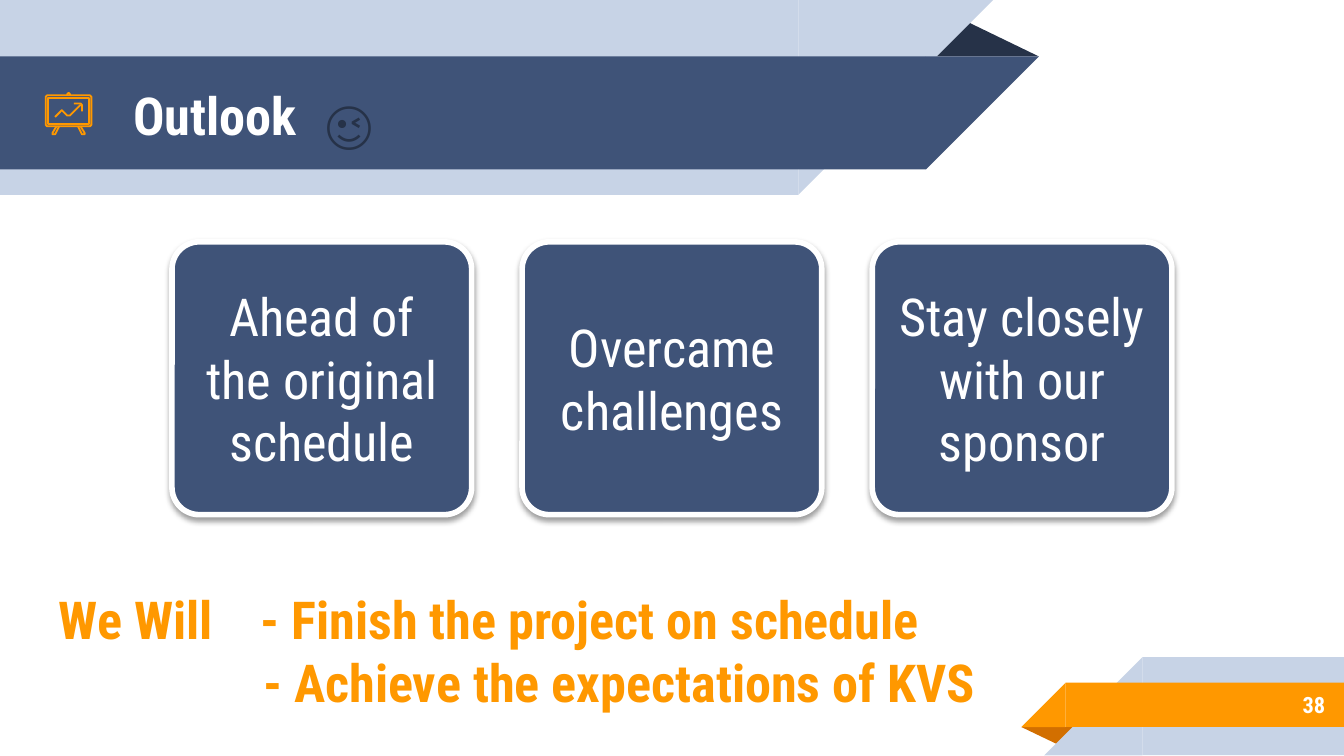
from lxml import etree
from pptx import Presentation
from pptx.dml.color import RGBColor
from pptx.enum.shapes import MSO_SHAPE
from pptx.enum.text import MSO_ANCHOR, MSO_AUTO_SIZE, PP_ALIGN
from pptx.oxml import parse_xml
from pptx.oxml.ns import nsdecls, qn
from pptx.util import Inches, Pt

RECT, CORNER = MSO_SHAPE.RECTANGLE, MSO_SHAPE.RIGHT_TRIANGLE
FOLD, CARD = MSO_SHAPE.ISOSCELES_TRIANGLE, MSO_SHAPE.ROUNDED_RECTANGLE
TOP, MIDDLE = MSO_ANCHOR.TOP, MSO_ANCHOR.MIDDLE
LEFT, CENTER, RIGHT = PP_ALIGN.LEFT, PP_ALIGN.CENTER, PP_ALIGN.RIGHT
NO_AUTOFIT = MSO_AUTO_SIZE.NONE

NAVY = RGBColor(0x3F, 0x53, 0x78)
DARK = RGBColor(0x26, 0x32, 0x48)
PALE = RGBColor(0xC7, 0xD3, 0xE6)
ORANGE = RGBColor(0xFF, 0x98, 0x00)
RUST = RGBColor(0xD2, 0x6F, 0x00)
WHITE = RGBColor(0xFF, 0xFF, 0xFF)

# A 16:9 slide
prs = Presentation()
prs.slide_width, prs.slide_height = Inches(10), Inches(10 * 9 / 16)
slide = prs.slides.add_slide(prs.slide_layouts[5])
shapes = slide.shapes


def add_block(kind, box, color, rotation=0):
    block = shapes.add_shape(kind, *map(Inches, box))
    block.fill.solid()
    block.fill.fore_color.rgb = color
    block.line.fill.background()
    block.shadow.inherit = False
    block.rotation = rotation
    return block


def write(holder, lines, color, size=28, bold=False, align=LEFT, anchor=TOP,
          inset=(0.1, 0.1)):
    frame = holder.text_frame
    side, edge = map(Inches, inset)
    frame_format = {"word_wrap": True, "auto_size": NO_AUTOFIT,
                    "vertical_anchor": anchor,
                    "margin_left": side, "margin_right": side,
                    "margin_top": edge, "margin_bottom": edge}
    for name, value in frame_format.items():
        setattr(frame, name, value)
    frame.text = "\n".join(lines)
    font_format = {"name": "Roboto Condensed", "size": Pt(size), "bold": bold}
    for paragraph in frame.paragraphs:
        paragraph.alignment = align
        for run in paragraph.runs:
            for name, value in font_format.items():
                setattr(run.font, name, value)
            run.font.color.rgb = color
    return frame


# Header and footer ribbons: a fold, then bands with slanted ends
header_fold = add_block(FOLD, (6.88, 0.14, 0.85, 0.28), DARK)
header_fold.adjustments[0] = 0.32
for top, length, height, color in [(0, 5.94, 1.45, PALE),
                                   (0.42, 6.89, 0.84, NAVY)]:
    add_block(RECT, (0, top, length, height), color)
    add_block(CORNER, (length, top, height, height), color, 90)

footer_fold = add_block(FOLD, (7.6, 5.41, 0.43, 0.14), RUST, 180)
footer_fold.adjustments[0] = 0.32
for left, top, height, color in [(8.5, 4.89, 0.73, PALE),
                                 (7.93, 5.08, 0.33, ORANGE)]:
    add_block(RECT, (left, top, 10 - left, height), color)
    add_block(CORNER, (left - height, top, height, height), color, 270)

# Title, brought in front of the ribbons
title = shapes.title
title.left, title.top, title.width, title.height = map(
    Inches, (0.89, 0.43, 5.75, 0.84))
write(title, ["Outlook"], WHITE, bold=True, anchor=MIDDLE)
shapes[-1].element.addnext(title.element)

# Slide number
number = shapes.add_textbox(*map(Inches, (8.33, 5.07, 1.63, 0.35)))
write(number, ["38"], WHITE, size=12, bold=True, align=RIGHT, anchor=MIDDLE)

# Presentation board icon, points in hundredths of an inch
board_strokes = [
    ([(35, 71), (67, 71), (68, 72), (68, 93), (67, 94), (35, 94), (34, 93),
      (34, 72)], True),                                          # frame
    ([(50, 71), (50, 70), (51, 69), (52, 70), (52, 71)], False),  # knob
    ([(42, 94), (39, 99), (39, 100), (41, 100), (44, 94)], False),  # left leg
    ([(58, 94), (61, 100), (63, 100), (63, 99), (60, 94)], False),  # right leg
    ([(36, 73), (36, 92), (66, 92), (66, 73)], True),            # panel
    ([(60, 78), (52, 86), (50, 86), (46, 82), (41, 87)], False),  # trend
    ([(55, 77), (60, 77), (61, 78), (61, 83)], False),           # arrowhead
]
for points, closed in board_strokes:
    builder = shapes.build_freeform(*points[0], scale=Inches(0.01))
    builder.add_line_segments(points[1:], close=closed)
    stroke = builder.convert_to_shape()
    stroke.fill.background()
    stroke.line.color.rgb = ORANGE
    stroke.line.width = Pt(0.96)
    stroke.shadow.inherit = False

# Commitments, with the dashes aligned at one indent
commitments = shapes.add_textbox(*map(Inches, (0.34, 4.32, 7.18, 1.04)))
first, second = write(
    commitments,
    ["We Will\t- Finish the project on schedule",
     "- Achieve the expectations of KVS"],
    ORANGE, bold=True, inset=(0.1, 0.05)).paragraphs
dash_indent = Inches(1.5)
tabs = etree.SubElement(first._p.get_or_add_pPr(), qn("a:tabLst"))
etree.SubElement(tabs, qn("a:tab"), pos=str(dash_indent), algn="l")
second._p.get_or_add_pPr().set("marL", str(dash_indent + Inches(0.02)))

# Wink beside the title
wink = shapes.add_textbox(*map(Inches, (2.32, 0.63, 0.99, 0.57)))
write(wink, ["😉"], DARK, inset=(0.1, 0.05))

# Three cards
card_texts = ["Ahead of the original schedule", "Overcame challenges",
              "Stay closely with our sponsor"]
for index, text in enumerate(card_texts):
    card = add_block(CARD, (1.28 + 2.605 * index, 1.8, 2.23, 2.03), NAVY)
    card.adjustments[0] = 0.1
    card.line.color.rgb = WHITE
    card.line.width = Pt(3)
    write(card, [text], WHITE, align=CENTER, anchor=MIDDLE, inset=(0.12, 0.12))
    card.element.spPr.find(qn("a:effectLst")).append(parse_xml(
        f'<a:outerShdw {nsdecls("a")} blurRad="{Pt(3.1)}" dist="{Pt(1.6)}" '
        'dir="5400000" rotWithShape="0"><a:srgbClr val="000000">'
        '<a:alpha val="38000"/></a:srgbClr></a:outerShdw>'))

prs.save("out.pptx")
